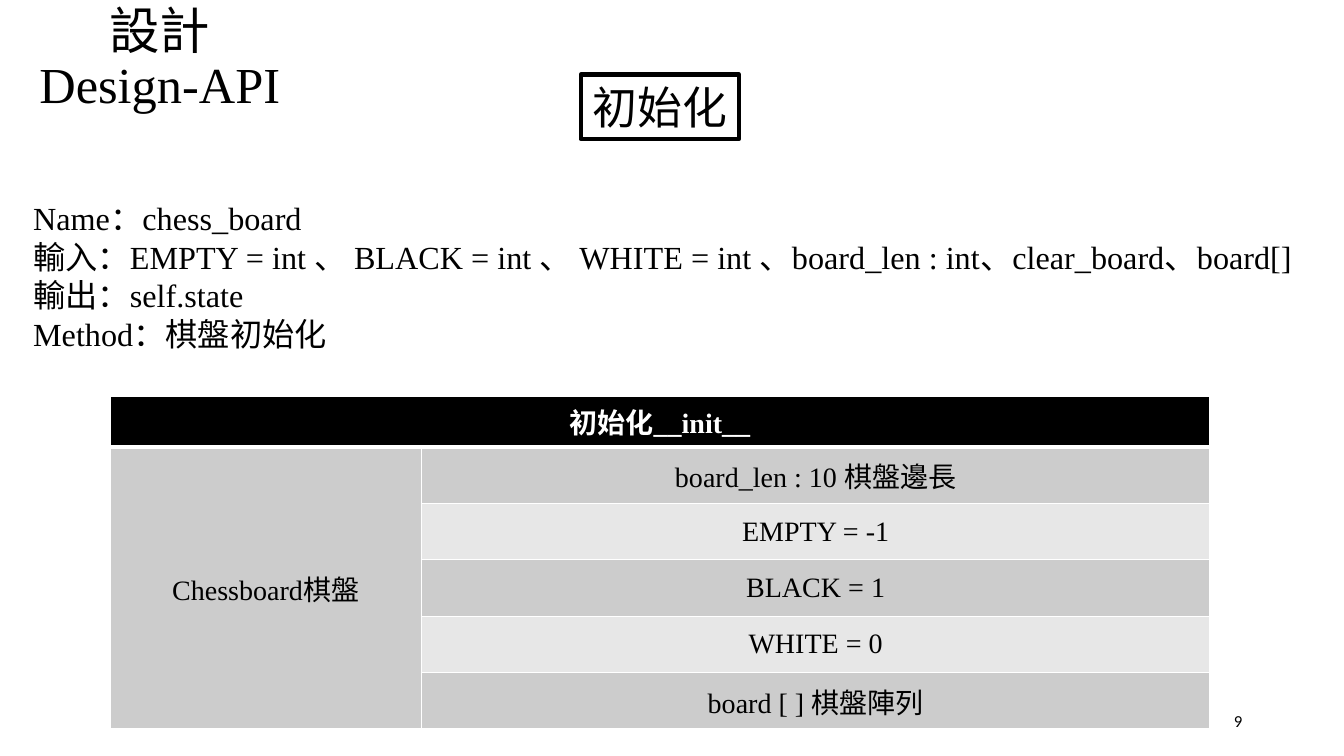
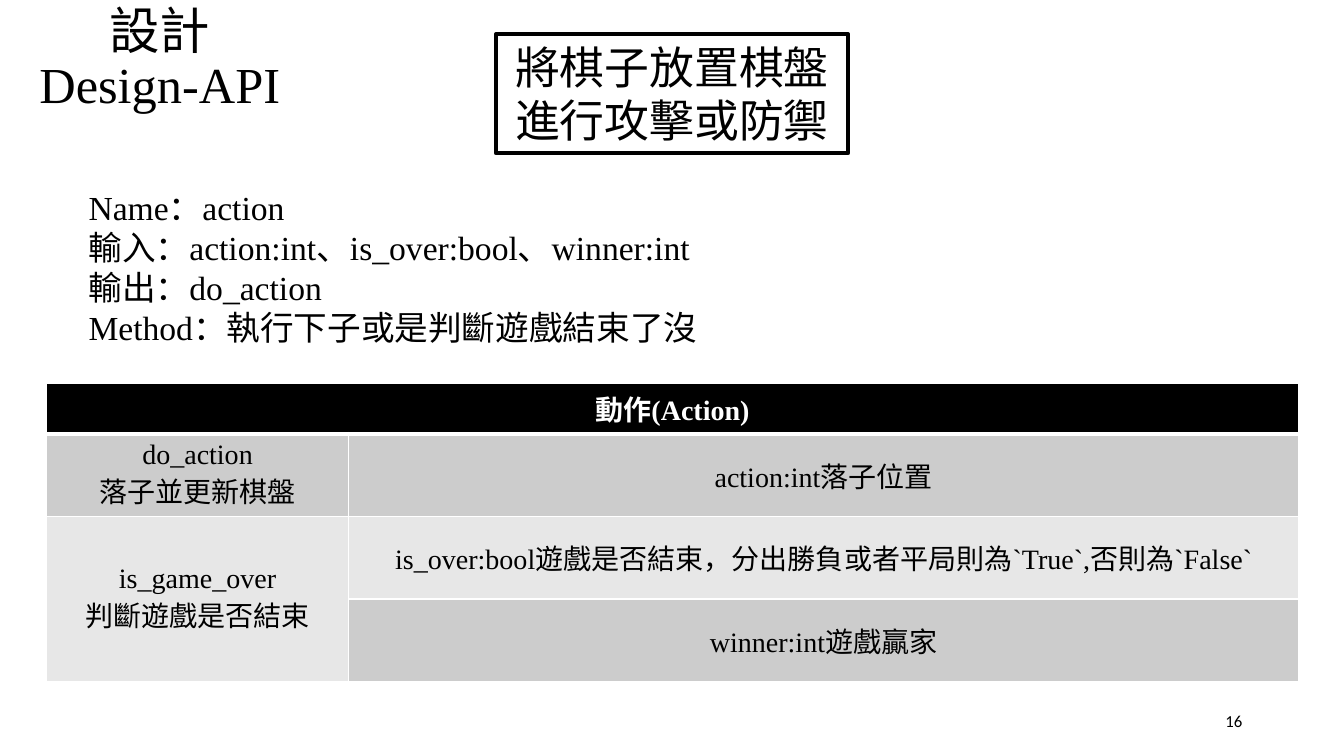
from dataclasses import dataclass

from lxml.etree import SubElement
from pptx import Presentation
from pptx.dml.color import RGBColor
from pptx.enum.shapes import MSO_SHAPE
from pptx.enum.text import MSO_ANCHOR, MSO_AUTO_SIZE, PP_ALIGN
from pptx.oxml.ns import qn
from pptx.util import Inches, Pt

# Shared look
BLACK, WHITE = "000000", "FFFFFF"
BANDS = ("CCCCCC", "E7E7E7")
SERIF, CJK, SANS = "Times New Roman", "Noto Sans CJK SC", "Calibri"
TITLE = "設計\vDesign-API"
HEAD = 0.46


@dataclass
class Box:
    left: float
    top: float
    width: float
    height: float

    def place(self) -> list:
        return [Inches(v) for v in (self.left, self.top, self.width, self.height)]


@dataclass
class Group:
    label: str
    items: list[str]


@dataclass
class Grid:
    left: float
    top: float
    cols: tuple[float, float]
    step: float
    head: str
    groups: list[Group]


@dataclass
class Page:
    number: int
    topic: str
    frame: Box
    facts: str
    area: Box
    size: float
    grid: Grid


def color(code: str) -> RGBColor:
    return RGBColor.from_string(code)


def write(frame, text: str, size: float, name: str = SERIF, ink: str = BLACK,
          bold: bool = False, align=PP_ALIGN.CENTER, space: float = 1.0) -> None:
    """Fill a text frame with evenly styled paragraphs."""
    frame.text = text
    style = {"size": Pt(size), "name": name, "bold": bold}
    for para in frame.paragraphs:
        para.alignment = align
        para.line_spacing = space
        for mark in para._p.findall(qn("a:br")):
            SubElement(mark, qn("a:rPr"), sz=str(int(size * 100)))
        for run in para.runs:
            run.font.color.rgb = color(ink)
            for key, value in style.items():
                setattr(run.font, key, value)
            SubElement(run._r.get_or_add_rPr(), qn("a:ea"), typeface=CJK)


def setup(frame, anchor=MSO_ANCHOR.TOP) -> None:
    style = {"word_wrap": True, "auto_size": MSO_AUTO_SIZE.NONE,
             "vertical_anchor": anchor}
    for key, value in style.items():
        setattr(frame, key, value)


def add_title(slide) -> None:
    shape = slide.shapes.title
    shape.left, shape.top, shape.width, shape.height = Box(0, 0, 3.17, 1.19).place()
    setup(shape.text_frame, MSO_ANCHOR.MIDDLE)
    write(shape.text_frame, TITLE, 36, space=0.9)


def add_topic(slide, text: str, box: Box) -> None:
    shape = slide.shapes.add_shape(MSO_SHAPE.RECTANGLE, *box.place())
    shape.shadow.inherit = False
    shape.fill.background()
    shape.line.color.rgb = color(BLACK)
    shape.line.width = Pt(3)
    setup(shape.text_frame)
    write(shape.text_frame, text, 32, CJK)


def add_text(slide, text: str, box: Box, size: float, name: str = SERIF,
             align=PP_ALIGN.LEFT, anchor=MSO_ANCHOR.TOP) -> None:
    frame = slide.shapes.add_textbox(*box.place()).text_frame
    setup(frame, anchor)
    write(frame, text, size, name, align=align)


def add_edges(cell, row: int) -> None:
    """Draw white borders, thicker below the header."""
    thick = {0: "lnB", 1: "lnT"}.get(row)
    for tag in ("lnL", "lnR", "lnT", "lnB"):
        width = Pt(3 if tag == thick else 1)
        line = SubElement(cell._tc.get_or_add_tcPr(), qn(f"a:{tag}"), w=str(width))
        fill = SubElement(line, qn("a:solidFill"))
        SubElement(fill, qn("a:srgbClr"), val=WHITE)


def add_grid(slide, grid: Grid) -> None:
    count = 1 + sum(len(group.items) for group in grid.groups)
    box = Box(grid.left, grid.top, sum(grid.cols), HEAD + grid.step * (count - 1))
    table = slide.shapes.add_table(count, 2, *box.place()).table
    for col, width in zip(table.columns, grid.cols):
        col.width = Inches(width)

    # Bands and borders
    for row in range(count):
        table.rows[row].height = Inches(grid.step if row else HEAD)
        for col in range(2):
            cell = table.cell(row, col)
            add_edges(cell, row)
            cell.fill.solid()
            cell.fill.fore_color.rgb = color(BANDS[(row - 1) % 2] if row else BLACK)
            cell.vertical_anchor = MSO_ANCHOR.MIDDLE

    # Header and groups
    table.cell(0, 0).merge(table.cell(0, 1))
    write(table.cell(0, 0).text_frame, grid.head, 20, ink=WHITE, bold=True)
    row = 1
    for group in grid.groups:
        last = row + len(group.items) - 1
        if last > row:
            table.cell(row, 0).merge(table.cell(last, 0))
        write(table.cell(row, 0).text_frame, group.label, 20)
        for item in group.items:
            write(table.cell(row, 1).text_frame, item, 20)
            row += 1


def add_page(deck, page: Page) -> None:
    slide = deck.slides.add_slide(deck.slide_layouts[5])
    add_title(slide)
    add_topic(slide, page.topic, page.frame)
    add_text(slide, page.facts, page.area, page.size)
    add_grid(slide, page.grid)
    add_text(slide, str(page.number), Box(9.42, 6.95, 3, 0.4), 12, SANS,
             PP_ALIGN.RIGHT, MSO_ANCHOR.MIDDLE)


PAGES = [
    Page(
        9, "初始化", Box(5.76, 0.74, 1.57, 0.64),
        "Name：chess_board\n"
        "輸入：EMPTY = int 、 BLACK = int 、 WHITE = int 、"
        "board_len : int、clear_board、board[]\n"
        "輸出：self.state\n"
        "Method：棋盤初始化",
        Box(0.23, 1.92, 12.95, 1.65), 23,
        Grid(1.09, 3.93, (3.09, 7.82), 0.56, "初始化__init__", [
            Group("Chessboard棋盤", [
                "board_len : 10 棋盤邊長", "EMPTY = -1", "BLACK = 1",
                "WHITE = 0", "board [ ] 棋盤陣列"]),
        ]),
    ),
    Page(
        16, "將棋子放置棋盤\n進行攻擊或防禦", Box(4.92, 0.34, 3.49, 1.18),
        "Name：action\n"
        "輸入：action:int、is_over:bool、winner:int\n"
        "輸出：do_action\n"
        "Method：執行下子或是判斷遊戲結束了沒",
        Box(0.78, 1.8, 6.81, 1.72), 24,
        Grid(0.46, 3.8, (3, 9.42), 0.82, "動作(Action)", [
            Group("do_action\n落子並更新棋盤", ["action:int落子位置"]),
            Group("is_game_over\n判斷遊戲是否結束", [
                "is_over:bool遊戲是否結束，分出勝負或者平局則為`True`,否則為`False`",
                "winner:int遊戲贏家"]),
        ]),
    ),
]


def main() -> None:
    deck = Presentation()
    deck.slide_width, deck.slide_height = Inches(13.33), Inches(7.5)
    for page in PAGES:
        add_page(deck, page)
    deck.save("out.pptx")


if __name__ == "__main__":
    main()
